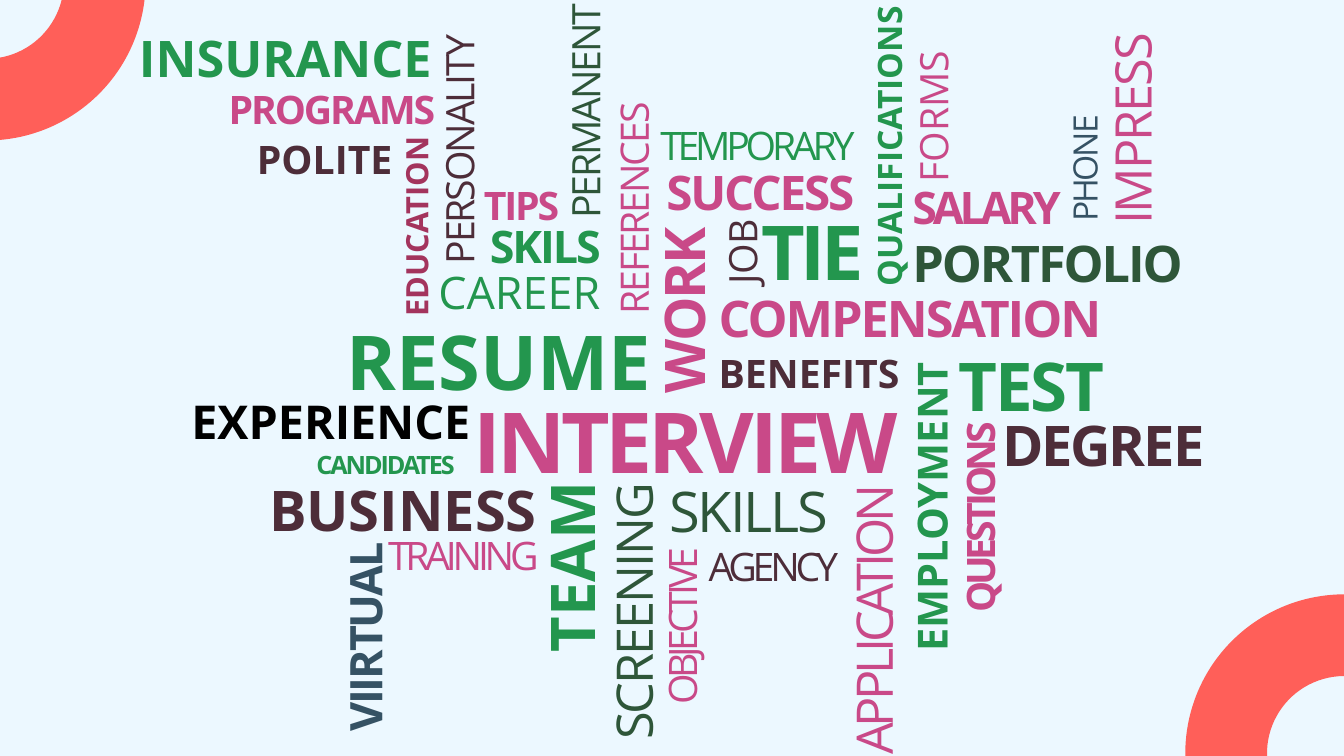
from dataclasses import dataclass

from pptx import Presentation
from pptx import util as u
from pptx.dml import color as dml
from pptx.enum import shapes, text

FONT = "Open Sans"
GREEN, FOREST, PINK = "23964E", "2E5639", "C94988"
BERRY, PLUM, SLATE, BLACK = "A3345D", "4D2D39", "355264", "000000"
CORAL, SKY = "FF5F59", "ECF8FF"
TIGHT, TIGHTER = -1.5, -3  # letter spacing in points


@dataclass
class Word:
    label: str
    left: float
    top: float
    width: float
    height: float
    size: float
    color: str
    bold: bool = False
    tracking: float = 0
    line_spacing: float = 0.9


@dataclass
class Ring:
    left: float
    top: float
    rotation: float
    diameter: float = 3.13


LEVEL_WORDS = [
    Word("INSURANCE", 1.28, 0.29, 3.14, 0.78, 36, GREEN, True),
    Word("PROGRAMS", 2.17, 0.85, 2.84, 0.78, 28, PINK, True, TIGHT),
    Word("POLITE", 2.45, 1.35, 2.84, 0.78, 28, PLUM, True),
    Word("EXPERIENCE", 1.8, 3.91, 3.14, 0.78, 33.3, BLACK, True),
    Word("BUSINESS", 2.57, 4.74, 3.14, 0.78, 40, PLUM, True),
    Word("RESUME", 3.34, 3.18, 3.91, 0.95, 54, GREEN, True),
    Word("COMPENSATION", 7.03, 2.87, 4.45, 0.78, 36, PINK, True, TIGHT),
    Word("TEMPORARY", 6.45, 1.21, 4.18, 0.78, 28, GREEN, False, TIGHTER),
    Word("TRAINING", 3.75, 5.27, 4.18, 0.78, 28, PINK, False, TIGHTER),
    Word("INTERVIEW", 4.6, 3.93, 4.97, 1.5, 60, PINK, True, TIGHTER),
    Word("AGENCY", 6.93, 5.38, 1.79, 0.93, 28, PLUM, False, TIGHTER),
    Word("SKILLS", 6.54, 4.75, 1.93, 0.93, 40, FOREST, False, TIGHT),
    Word("CANDIDATES", 3.04, 4.44, 3.22, 0.43, 18, GREEN, True, TIGHT),
    Word("DEGREE", 9.84, 4.1, 3.4, 0.78, 40, PLUM, True, TIGHT),
    Word("SUCCESS", 6.51, 1.63, 3.39, 0.79, 34, PINK, True, TIGHT),
    Word("TIPS", 4.7, 1.8, 0.98, 0.78, 28, PINK, True, TIGHT),
    Word("SKILS", 4.76, 2.18, 1.49, 0.78, 32, GREEN, True, TIGHT),
    Word("CAREER", 4.25, 2.64, 2.17, 0.78, 32, GREEN),
    Word("SALARY", 8.95, 1.79, 3.4, 0.78, 32, PINK, True, TIGHTER),
    Word("PORTFOLIO", 8.95, 2.32, 3.4, 0.78, 36, FOREST, True, TIGHT),
    Word("TIE", 7.45, 2.09, 3.4, 0.95, 54, GREEN, True, TIGHTER),
    Word("TEST", 9.41, 3.52, 3.4, 0.78, 48, GREEN, True, TIGHT, 0.8),
    Word("BENEFITS", 7.03, 3.47, 4.5, 0.93, 28, PLUM, True),
]

# Frames are given before the quarter turn
UPRIGHT_WORDS = [
    Word("VIIRTUAL", 2.18, 5.4, 3.14, 0.78, 32, SLATE, True, TIGHT),
    Word("EDUCATION", 3.26, 1.78, 2.13, 0.78, 22, BERRY, True),
    Word("EMPLOYMENT", 7.85, 4.49, 3.22, 0.93, 29.6, GREEN, True),
    Word("QUALIFICATIONS", 7.58, 0.75, 3.22, 1.16, 24, GREEN, True),
    Word("REFERENCES", 4.35, 0.74, 4.18, 0.78, 28, PINK, False, TIGHT),
    Word("PERSONALITY", 2.62, 0.24, 4.18, 0.78, 28, PLUM, False, TIGHT),
    Word("PERMANENT", 3.87, -0.21, 4.18, 0.78, 28, FOREST, False, TIGHT),
    Word("SCREENING", 4.21, 4.72, 4.5, 0.93, 36, FOREST, False, TIGHT),
    Word("APPLICATION", 6.59, 4.87, 4.5, 0.93, 36, PINK, False, TIGHTER),
    Word("OBJECTIVE", 6.1, 5.73, 1.79, 0.93, 28, PINK, False, TIGHTER),
    Word("TEAM", 4.53, 4.61, 2.76, 1.16, 44, GREEN, True),
    Word("QUESTIONS", 7.7, 3.46, 4.5, 0.93, 28, PINK, True, TIGHTER),
    Word("WORK", 6.22, 2.3, 1.95, 1.45, 40, PINK, True, TIGHT),
    Word("JOB", 6.43, 1.45, 2.17, 0.78, 28, PLUM),
    Word("FORMS", 7.32, -0.57, 4.18, 0.78, 28, PINK),
    Word("IMPRESS", 9.63, 0.24, 3.4, 0.78, 36, PINK, False, TIGHT),
    Word("PHONE", 9.24, 0.21, 3.4, 0.78, 24, SLATE, False, TIGHT),
]

RINGS = [Ring(-1.7, -1.75, 141.3), Ring(11.77, 5.91, 317.6)]


def rgb(value: str) -> dml.RGBColor:
    return dml.RGBColor.from_string(value)


def draw_word(page, word: Word, rotation: float = 0) -> None:
    box = page.shapes.add_textbox(u.Inches(word.left), u.Inches(word.top),
                                  u.Inches(word.width), u.Inches(word.height))
    box.rotation = rotation
    frame = box.text_frame
    frame.word_wrap = True
    frame.vertical_anchor = text.MSO_ANCHOR.TOP
    para = frame.paragraphs[0]
    para.alignment = text.PP_ALIGN.LEFT
    para.line_spacing = word.line_spacing
    span = para.add_run()
    span.text = word.label
    span.font.name = FONT
    span.font.size = u.Pt(word.size)
    span.font.bold = word.bold
    span.font.color.rgb = rgb(word.color)
    if word.tracking:
        span._r.get_or_add_rPr().set("spc", str(int(word.tracking * 100)))


def draw_ring(page, ring: Ring) -> None:
    arc = page.shapes.add_shape(
        shapes.MSO_SHAPE.BLOCK_ARC, u.Inches(ring.left), u.Inches(ring.top),
        u.Inches(ring.diameter), u.Inches(ring.diameter))
    arc.rotation = ring.rotation
    arc.shadow.inherit = False
    arc.fill.solid()
    arc.fill.fore_color.rgb = rgb(CORAL)
    arc.line.color.rgb = rgb(CORAL)
    arc.line.width = u.Pt(2)


def main() -> None:
    deck = Presentation()
    deck.slide_width = u.Inches(13.33)
    deck.slide_height = u.Inches(7.5)
    page = deck.slides.add_slide(deck.slide_layouts[6])
    page.background.fill.solid()
    page.background.fill.fore_color.rgb = rgb(SKY)

    # Word cloud
    for word in LEVEL_WORDS:
        draw_word(page, word)
    for word in UPRIGHT_WORDS:
        draw_word(page, word, rotation=270)

    # Corner rings
    for ring in RINGS:
        draw_ring(page, ring)

    deck.save("out.pptx")


if __name__ == "__main__":
    main()
